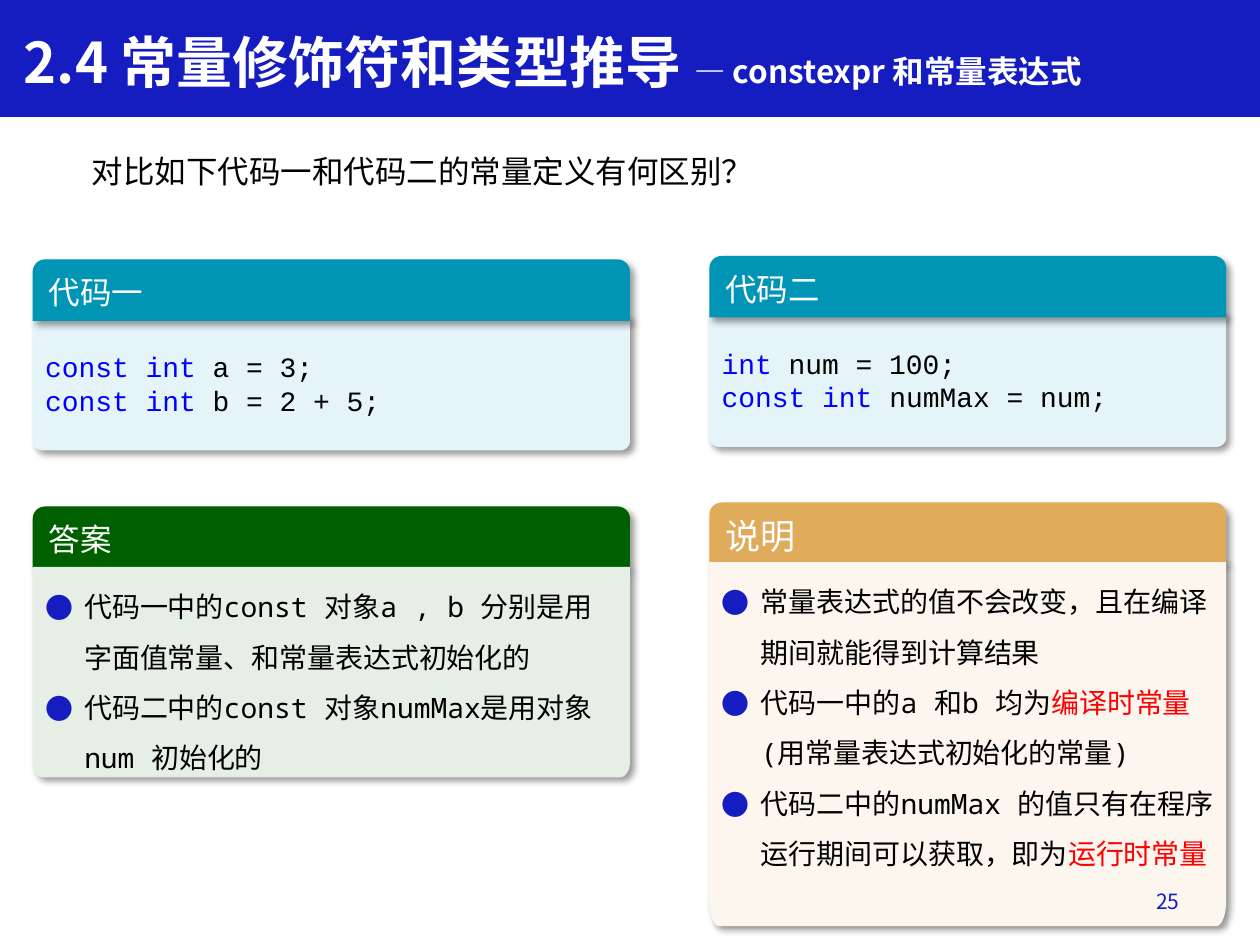
from dataclasses import dataclass
import math

import pptx
import pptx.dml.color
import pptx.enum.shapes
import pptx.enum.text
import pptx.oxml.ns
import pptx.oxml.xmlchemy
import pptx.util
from lxml import etree

Cm = pptx.util.Cm
COLORS = {
    "blue": "151DC1", "white": "FFFFFF", "black": "000000", "red": "FF0000",
    "keyword": "0000FF", "teal": "0094B5", "teal_pale": "E5F4F8",
    "green": "006000", "green_pale": "E5EFE5",
    "amber": "E0AB5B", "amber_pale": "FCF6EE",
}
SANS, MONO, CODE = "Noto Sans CJK SC", "Noto Sans Mono", "Courier New"
ANCHOR = pptx.enum.text.MSO_ANCHOR
ALIGN = pptx.enum.text.PP_ALIGN
HEADER_H = 1.24


@dataclass
class Run:
    text: str
    color: str = "black"
    size: float = 16
    font: str = MONO
    bold: bool = False


@dataclass
class Panel:
    """A titled box; lengths are in centimetres."""
    left: float
    top: float
    width: float
    body_drop: float
    body_height: float
    title: Run
    header_fill: str
    body_fill: str
    paragraphs: list[list[Run]]
    bulleted: bool = False


def rgb(name: str) -> pptx.dml.color.RGBColor:
    return pptx.dml.color.RGBColor.from_string(COLORS[name])


def sub(parent, tag: str, **attrs: str):
    return etree.SubElement(parent, pptx.oxml.ns.qn(tag), attrs)


def add_bullet(p) -> None:
    p.line_spacing = 1.5
    pPr = p._p.get_or_add_pPr()
    pPr.set("marL", str(Cm(0.79)))
    pPr.set("indent", str(-Cm(0.79)))
    sub(sub(pPr, "a:buClr"), "a:srgbClr", val=COLORS["blue"])
    sub(pPr, "a:buFont", typeface=SANS)
    sub(pPr, "a:buChar", char="●")


def write(sp, paragraphs: list[list[Run]], anchor=ANCHOR.TOP,
          align=ALIGN.LEFT, bulleted: bool = False) -> None:
    tf = sp.text_frame
    tf.word_wrap = True
    tf.vertical_anchor = anchor
    for i, runs in enumerate(paragraphs):
        p = tf.add_paragraph() if i else tf.paragraphs[0]
        p.alignment = align
        if bulleted:
            add_bullet(p)
        for run in runs:
            r = p.add_run()
            r.text = run.text
            r.font.name = run.font
            r.font.size = pptx.util.Pt(run.size)
            r.font.bold = run.bold
            r.font.color.rgb = rgb(run.color)
            sub(r._r.get_or_add_rPr(), "a:ea", typeface=SANS)


def paint(sp, fill: str, shadow: bool = True) -> None:
    sp.fill.solid()
    sp.fill.fore_color.rgb = rgb(fill)
    sp.line.fill.background()
    sp.shadow.inherit = False
    if shadow:
        effects = sp._element.spPr.find(pptx.oxml.ns.qn("a:effectLst"))
        shade = sub(effects, "a:outerShdw", blurRad=str(pptx.util.Pt(4)),
                    dist=str(pptx.util.Pt(3)), dir="2700000",
                    algn="tl", rotWithShape="0")
        sub(sub(shade, "a:srgbClr", val="000000"), "a:alpha", val="40000")


def add_header(s, panel: Panel) -> None:
    sp = s.shapes.add_shape(
        pptx.enum.shapes.MSO_SHAPE.ROUND_2_SAME_RECTANGLE,
        Cm(panel.left), Cm(panel.top), Cm(panel.width), Cm(HEADER_H))
    sp.adjustments[0], sp.adjustments[1] = 0.2, 0
    paint(sp, panel.header_fill)
    write(sp, [[panel.title]], ANCHOR.MIDDLE)


def add_body(s, panel: Panel) -> None:
    """Square top corners, elliptical bottom corners."""
    left, top = panel.left, panel.top + panel.body_drop
    right, bottom = left + panel.width, top + panel.body_height
    rx, ry = 0.2, 0.07 * panel.body_height
    angles = [math.radians(a) for a in range(0, 91, 10)]
    points = [(right, top)]
    points += [(right - rx + rx * math.cos(a), bottom - ry + ry * math.sin(a))
               for a in angles]
    points += [(left + rx - rx * math.cos(a), bottom - ry + ry * math.sin(a))
               for a in reversed(angles)]
    builder = s.shapes.build_freeform(Cm(left), Cm(top))
    builder.add_line_segments([(Cm(x), Cm(y)) for x, y in points], close=True)
    sp = builder.convert_to_shape()
    paint(sp, panel.body_fill)
    write(sp, panel.paragraphs,
          ANCHOR.TOP if panel.bulleted else ANCHOR.MIDDLE,
          bulleted=panel.bulleted)


def add_panel(s, panel: Panel) -> None:
    # A bulleted body lies over its header, a code body under it
    parts = [add_header, add_body] if panel.bulleted else [add_body, add_header]
    for draw in parts:
        draw(s, panel)


def add_text(s, left: float, top: float, width: float, height: float,
             runs: list[Run], anchor=ANCHOR.TOP, align=ALIGN.LEFT) -> None:
    sp = s.shapes.add_textbox(Cm(left), Cm(top), Cm(width), Cm(height))
    write(sp, [runs], anchor, align)


def title(text: str, size: float = 18) -> Run:
    return Run(text, "white", size, SANS)


def code(keywords: str, rest: str) -> list[Run]:
    return [Run(keywords, "keyword", font=CODE), Run(rest, font=CODE)]


PANELS = [
    Panel(0.66, 5.23, 12.04, 1.15, 2.7, title("代码一"), "teal", "teal_pale",
          [code("const int ", "a = 3;"), code("const int ", "b = 2 + 5;")]),
    Panel(0.66, 10.21, 12.04, 1.22, 4.24, title("答案"), "green", "green_pale",
          [[Run("代码一中的const 对象a , b 分别是用字面值常量、和常量表达式初始化的")],
           [Run("代码二中的const 对象numMax是用对象num 初始化的")]], True),
    Panel(14.3, 5.16, 10.42, 1.15, 2.7, title("代码二"), "teal", "teal_pale",
          [code("int ", "num = 100;"), code("const int ", "numMax = num;")]),
    Panel(14.3, 10.13, 10.42, 1.2, 7.34, title("说明", 20), "amber", "amber_pale",
          [[Run("常量表达式的值不会改变，且在编译期间就能得到计算结果")],
           [Run("代码一中的a 和b 均为"), Run("编译时常量", "red"),
            Run("(用常量表达式初始化的常量)")],
           [Run("代码二中的numMax 的值只有在程序运行期间可以获取，即为"),
            Run("运行时常量", "red")]], True),
]


def main() -> None:
    prs = pptx.Presentation()
    prs.slide_width, prs.slide_height = Cm(25.4), Cm(19.05)
    s = prs.slides.add_slide(prs.slide_layouts[6])

    # Title band
    band = s.shapes.add_shape(pptx.enum.shapes.MSO_SHAPE.RECTANGLE,
                              0, 0, prs.slide_width, Cm(2.34))
    paint(band, "blue", shadow=False)
    band.line.color.rgb = rgb("blue")
    band.line.width = pptx.util.Pt(1)
    add_text(s, 0.23, 0.43, 23.65, 1.63, [
        Run("2.4 常量修饰符和类型推导 ", "white", 32, SANS, True),
        Run("— constexpr 和常量表达式", "white", 18, SANS, True)])

    # Question
    add_text(s, 1.6, 2.95, 16.71, 1.02,
             [Run("对比如下代码一和代码二的常量定义有何区别？", size=18, font=SANS)])

    # Code, answer and explanation panels
    for panel in PANELS:
        add_panel(s, panel)

    # Page number
    add_text(s, 18.31, 17.65, 5.72, 1.02, [Run("25", "blue", 12, SANS)],
             ANCHOR.MIDDLE, ALIGN.RIGHT)
    prs.save("out.pptx")


if __name__ == "__main__":
    main()
